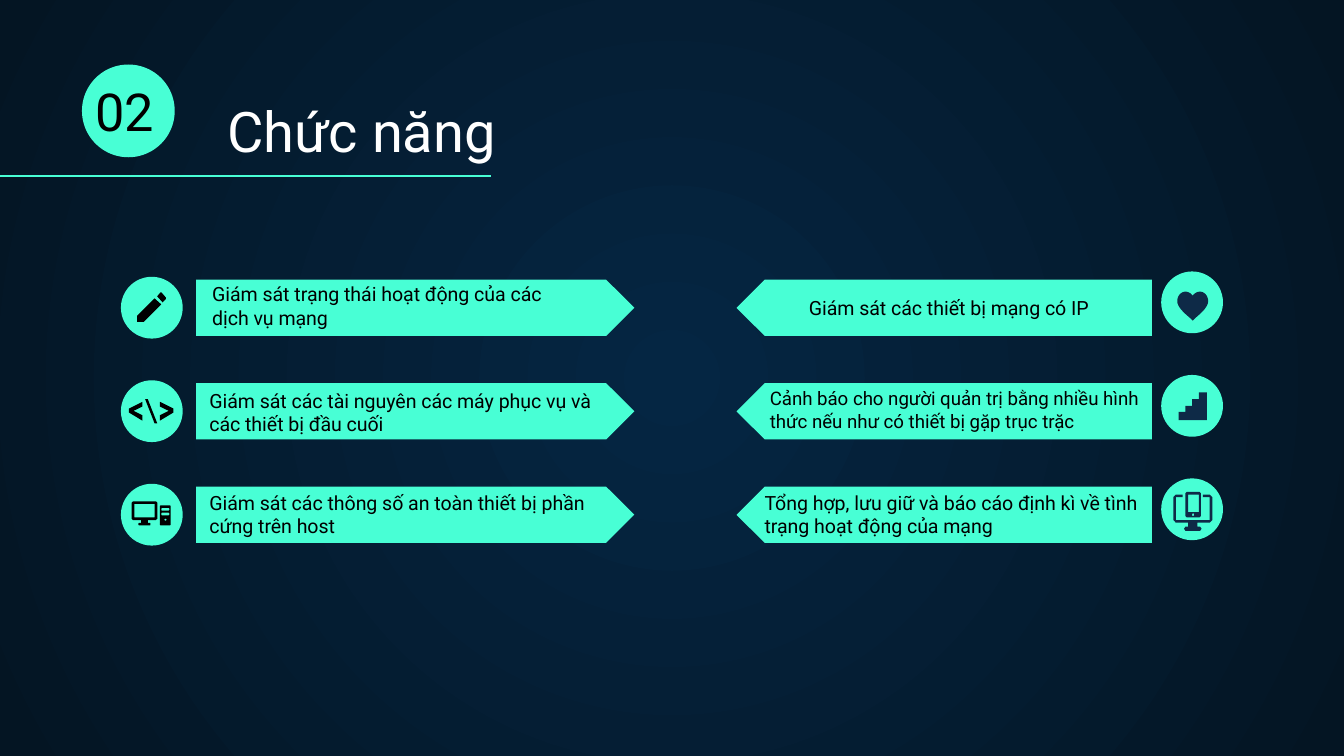
from dataclasses import dataclass

from lxml import etree
from pptx import Presentation
from pptx.dml.color import RGBColor
from pptx.enum.shapes import MSO_CONNECTOR, MSO_SHAPE
from pptx.enum.text import MSO_ANCHOR, PP_ALIGN
from pptx.oxml.ns import qn
from pptx.util import Inches, Pt

ELLIPSE = MSO_SHAPE.OVAL
PENTAGON = MSO_SHAPE.PENTAGON
STRAIGHT = MSO_CONNECTOR.STRAIGHT
TOP, MIDDLE, BOTTOM = MSO_ANCHOR.TOP, MSO_ANCHOR.MIDDLE, MSO_ANCHOR.BOTTOM
LEFT = PP_ALIGN.LEFT

COLORS = {
    "center": "052643",
    "edge": "041523",
    "mint": "48FFD5",
    "black": "000000",
    "navy": "0E2A47",
    "white": "FFFFFF",
}
FONT = "Roboto"
SLIDE_WIDTH = Inches(10)
SLIDE_HEIGHT = SLIDE_WIDTH * 9 // 16
ROW_TOP, ROW_PITCH = 2.08, 0.77
BAR_HEIGHT, BADGE_SIZE = 0.42, 0.46

Point = tuple[float, float]
Contour = list[Point]


@dataclass
class Label:
    text: str
    left: float
    top: float
    width: float
    height: float
    anchor: MSO_ANCHOR
    inset: float
    size: float = 10.5


@dataclass
class Column:
    bar_left: float
    bar_width: float
    rotation: int
    badge_left: float
    badge_top: float
    labels: list[Label]


@dataclass
class Icon:
    color: str
    contours: list[Contour]


def box(left: float, top: float, right: float, bottom: float, cut: float = 0) -> Contour:
    return [
        (left + cut, top), (right - cut, top), (right, top + cut), (right, bottom - cut),
        (right - cut, bottom), (left + cut, bottom), (left, bottom - cut), (left, top + cut),
    ]


def curve(a: Point, b: Point, c: Point, d: Point, steps: int = 8) -> Contour:
    return [
        tuple((1 - t) ** 3 * p + 3 * (1 - t) ** 2 * t * q + 3 * (1 - t) * t**2 * r + t**3 * s
              for p, q, r, s in zip(a, b, c, d))
        for t in (step / steps for step in range(steps + 1))
    ]


def mirror(contour: Contour, axis: float) -> Contour:
    return [(2 * axis - x, y) for x, y in contour]


def set_fill(shape, color: str) -> None:
    shape.shadow.inherit = False
    shape.fill.solid()
    shape.fill.fore_color.rgb = RGBColor.from_string(COLORS[color])
    shape.line.fill.background()


def draw_preset(slide, kind, left: float, top: float, width: float, height: float):
    shape = slide.shapes.add_shape(kind, Inches(left), Inches(top), Inches(width), Inches(height))
    set_fill(shape, "mint")
    return shape


def write(frame, text: str, size: float, color: str, anchor, side: float, vertical: float) -> None:
    frame.word_wrap = True
    frame.vertical_anchor = anchor
    frame.margin_left = frame.margin_right = Inches(side)
    frame.margin_top = frame.margin_bottom = Inches(vertical)
    paragraph = frame.paragraphs[0]
    paragraph.alignment = LEFT
    run = paragraph.add_run()
    run.text = text
    run.font.name = FONT
    run.font.size = Pt(size)
    run.font.color.rgb = RGBColor.from_string(COLORS[color])


def draw_label(slide, label: Label) -> None:
    holder = slide.shapes.add_textbox(
        Inches(label.left), Inches(label.top), Inches(label.width), Inches(label.height))
    write(holder.text_frame, label.text, label.size, "black", label.anchor, 0.1, label.inset)


def draw_icon(slide, icon: Icon) -> None:
    outlines = [[(Inches(x / 100), Inches(y / 100)) for x, y in contour] for contour in icon.contours]
    builder = slide.shapes.build_freeform(*outlines[0][0])
    for index, outline in enumerate(outlines):
        if index:
            builder.move_to(*outline[0])
        builder.add_line_segments(outline[1:], close=True)
    set_fill(builder.convert_to_shape(), icon.color)


def draw_column(slide, column: Column) -> None:
    for row, label in enumerate(column.labels):
        offset = row * ROW_PITCH
        bar = draw_preset(slide, PENTAGON, column.bar_left, ROW_TOP + offset,
                          column.bar_width, BAR_HEIGHT)
        bar.rotation = column.rotation
        draw_preset(slide, ELLIPSE, column.badge_left, column.badge_top + offset,
                    BADGE_SIZE, BADGE_SIZE)
        draw_label(slide, label)


def paint_background(slide) -> None:
    fill = slide.background.fill
    fill.gradient()
    for stop, color, position in zip(fill.gradient_stops, ("center", "edge"), (0, 1)):
        stop.color.rgb = RGBColor.from_string(COLORS[color])
        stop.position = position
    gradient = slide.element.find(".//" + qn("a:gradFill"))
    gradient.remove(gradient.find(qn("a:lin")))
    radial = etree.SubElement(gradient, qn("a:path"), path="circle")
    etree.SubElement(radial, qn("a:fillToRect"), l="50000", t="50000", r="50000", b="50000")


def draw_header(slide) -> None:
    title = slide.shapes.title
    title.left, title.top = Inches(1.59), Inches(0.66)
    title.width, title.height = Inches(8.57), Inches(0.66)
    write(title.text_frame, "Chức năng", 30, "white", BOTTOM, 0.1, 0.1)
    rule = slide.shapes.add_connector(STRAIGHT, 0, Inches(1.31), Inches(3.65), Inches(1.31))
    rule.line.color.rgb = RGBColor.from_string(COLORS["mint"])
    rule.line.width = Pt(0.75)
    etree.SubElement(rule.element.spPr, qn("a:effectLst"))
    number = draw_preset(slide, ELLIPSE, 0.61, 0.48, 0.69, 0.69)
    write(number.text_frame, "02", 28, "black", MIDDLE, 0, 0)


COLUMNS = [
    Column(1.46, 3.26, 0, 0.9, 2.06, [
        Label("Giám sát trạng thái hoạt động của các dịch vụ mạng",
              1.48, 2.13, 2.91, 0.42, BOTTOM, 0.1),
        Label("Giám sát các tài nguyên các máy phục vụ và các thiết bị đầu cuối",
              1.46, 2.69, 3.2, 0.65, BOTTOM, 0.1),
        Label("Giám sát các thông số an toàn thiết bị phần cứng trên host",
              1.46, 3.68, 3.05, 0.42, BOTTOM, 0.1),
    ]),
    Column(5.48, 3.09, 180, 8.64, 2.02, [
        Label("Giám sát các thiết bị mạng có IP", 5.92, 2.15, 2.72, 0.28, TOP, 0.05),
        Label("Cảnh báo cho người quản trị bằng nhiều hình thức nếu như có thiết bị gặp trục trặc",
              5.63, 2.83, 3.02, 0.44, TOP, 0.05, 10),
        Label("Tổng hợp, lưu giữ và báo cáo định kì về tình trạng hoạt động của mạng",
              5.59, 3.6, 3.11, 0.45, TOP, 0.05),
    ]),
]

BRACKET = [(106, 313), (96, 307), (96, 304), (106, 299), (106, 302.5), (99.5, 305.7), (106, 309)]
HALF_HEART = (
    curve((887.5, 220), (886, 218), (884, 217), (882, 217))
    + curve((882, 217), (879, 217), (876, 220), (876, 224))
    + curve((876, 224), (876, 228), (880, 232), (886, 237))
    + [(887.5, 238.6)]
)
HALF_FRAME = [
    (880, 368), (875, 368), (873, 370), (873, 387), (875, 389), (884, 389), (884, 392),
    (882, 392), (881, 393.5), (882, 395), (887.5, 395), (887.5, 387), (875, 387),
    (875, 370), (880, 370),
]
ICONS = [
    Icon("black", [
        [(119.5, 217.5), (117, 220.5), (121, 225), (123.5, 222.5), (123.5, 221.5), (120.3, 217.7)],
        [(115, 222), (102, 235), (102, 239.5), (107, 239.5), (120, 226.5)],
    ]),
    Icon("black", [BRACKET]),
    Icon("black", [[(115, 315), (108, 297), (110, 297), (117, 315)]]),
    Icon("black", [mirror(BRACKET, 112.5)]),
    Icon("black", [box(98, 373, 117, 387, 1), box(100, 375, 115, 385),
                   box(105, 387, 110, 389), box(103, 389, 112, 391, 0.5)]),
    Icon("black", [box(119, 376, 127, 391, 0.5), box(120, 378, 126, 380, 0.4),
                   box(120, 381.5, 126, 383.5, 0.4), box(122.3, 386, 124, 387.4, 0.5)]),
    Icon("navy", [HALF_HEART + mirror(HALF_HEART, 887.5)[::-1]]),
    Icon("navy", [[(898, 292), (892, 292), (892, 297), (887, 297), (887, 302), (882, 302),
                   (882, 306.5), (877, 306.5), (877, 312.5), (898, 312.5)]]),
    Icon("navy", [HALF_FRAME, mirror(HALF_FRAME, 887.5)]),
    Icon("navy", [box(882, 366, 893.5, 385, 1), box(884, 368, 892, 381),
                  box(887, 382, 888.5, 384, 0.5)]),
]


def main() -> None:
    deck = Presentation()
    deck.slide_width, deck.slide_height = SLIDE_WIDTH, SLIDE_HEIGHT
    slide = deck.slides.add_slide(deck.slide_layouts[5])
    paint_background(slide)
    draw_header(slide)
    for column in COLUMNS:
        draw_column(slide, column)
    for icon in ICONS:
        draw_icon(slide, icon)
    deck.save("out.pptx")


if __name__ == "__main__":
    main()
